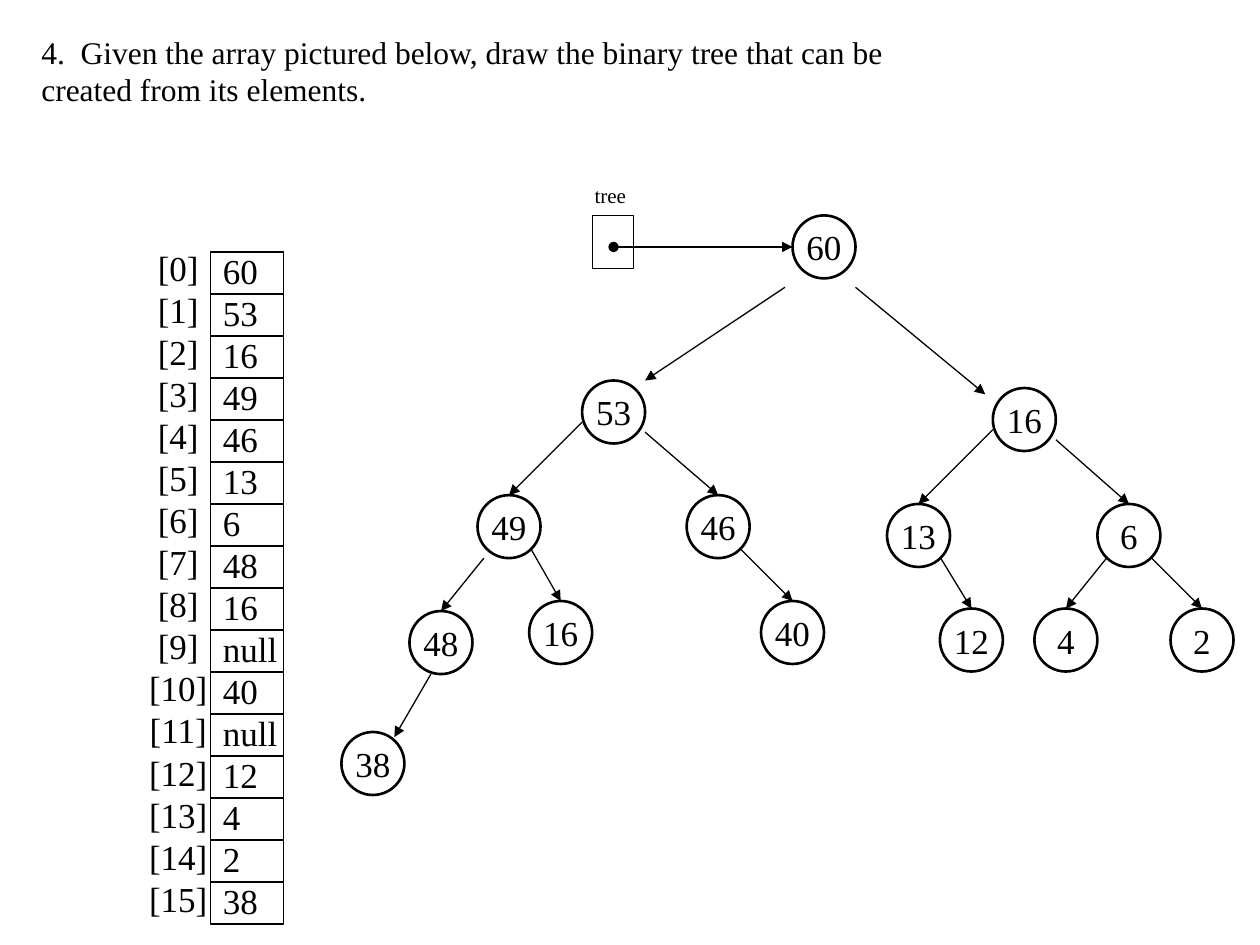
"""Draw an array and the binary tree built from its elements."""
import dataclasses
import typing

import lxml.etree
import pptx
import pptx.dml.color
import pptx.enum.shapes
import pptx.enum.text
import pptx.oxml.ns
import pptx.util

Inches = pptx.util.Inches
Pt = pptx.util.Pt
Kind = pptx.enum.shapes.MSO_SHAPE
Align = pptx.enum.text.PP_ALIGN
Pair = tuple[float, float]


@dataclasses.dataclass(frozen=True)
class Theme:
    font: str = "Times New Roman"
    ink: pptx.dml.color.RGBColor = pptx.dml.color.RGBColor(0, 0, 0)
    title: float = 18
    body: float = 20
    label: float = 12
    thin: float = 0.75
    thick: float = 1.5
    lead: float = 1.2


@dataclasses.dataclass(frozen=True)
class Node:
    slot: int
    mid: Pair
    start: Pair = (0, 0)
    end: Pair = (0, -0.25)


THEME = Theme()
SIZE = 0.5
ITEMS = "60 53 16 49 46 13 6 48 16 null 40 null 12 4 2 38".split()
NODES = [
    Node(0, (6.54, 1.96)),
    Node(1, (4.87, 3.27), (-0.31, 0.32), (0.25, -0.25)),
    Node(2, (8.13, 3.33), (0.25, 0.32), (-0.31, -0.2)),
    Node(3, (4.04, 4.18), (-0.25, 0.08)),
    Node(4, (5.7, 4.18), (0.25, 0.16)),
    Node(5, (7.29, 4.25), (-0.25, 0.08)),
    Node(6, (8.96, 4.25), (0.25, 0.16)),
    Node(7, (3.5, 5.1), (-0.2, 0.25)),
    Node(8, (4.45, 5.02), (0.17, 0.17)),
    Node(10, (6.29, 5.02), (0.17, 0.17)),
    Node(12, (7.71, 5.08), (0.17, 0.17)),
    Node(13, (8.46, 5.08), (-0.17, 0.17)),
    Node(14, (9.54, 5.08), (0.17, 0.17)),
    Node(15, (2.96, 6.06), (-0.08, 0.25), (0.17, -0.21)),
]


def write(frame: typing.Any, rows: list[str], size: float, align: Align) -> None:
    frame.word_wrap = False
    for num, row in enumerate(rows):
        para = frame.paragraphs[0] if num == 0 else frame.add_paragraph()
        para.alignment = align
        if len(rows) > 1:
            para.line_spacing = Pt(size * THEME.lead)
        run = para.add_run()
        run.text = row
        run.font.name = THEME.font
        run.font.size = Pt(size)
        run.font.color.rgb = THEME.ink


def label(shapes: typing.Any, box: tuple[float, ...], rows: list[str],
          size: float, align: Align = Align.LEFT) -> None:
    frame = shapes.add_textbox(*map(Inches, box)).text_frame
    write(frame, rows, size, align)
    frame.auto_size = pptx.enum.text.MSO_AUTO_SIZE.SHAPE_TO_FIT_TEXT


def outline(shapes: typing.Any, kind: Kind, box: tuple[float, ...],
            width: float) -> typing.Any:
    shape = shapes.add_shape(kind, *map(Inches, box))
    shape.shadow.inherit = False
    shape.fill.background()
    shape.line.color.rgb = THEME.ink
    shape.line.width = Pt(width)
    return shape


def line(shapes: typing.Any, start: Pair, end: Pair,
         head: str = "none", tail: str = "none") -> None:
    link = shapes.add_connector(pptx.enum.shapes.MSO_CONNECTOR.STRAIGHT,
                                *map(Inches, start + end))
    link.line.color.rgb = THEME.ink
    link.line.width = Pt(THEME.thin)
    name = pptx.oxml.ns.qn
    props = link._element.spPr
    edge = props.find(name("a:ln"))
    for tag, tip in (("a:headEnd", head), ("a:tailEnd", tail)):
        lxml.etree.SubElement(edge, name(tag), type=tip)
    lxml.etree.SubElement(props, name("a:effectLst"))


def shift(spot: Pair, by: Pair) -> Pair:
    return spot[0] + by[0], spot[1] + by[1]


def array(shapes: typing.Any) -> None:
    left, top, width, step = 1.67, 2, 0.58, 1 / 3
    group = shapes.add_group_shape().shapes
    outline(group, Kind.RECTANGLE, (left, top, width, step * len(ITEMS)), THEME.thin)
    marks = [f"[{num}]" for num in range(len(ITEMS))]
    label(group, (1.05, 1.91, 0.73, 5.43), marks, THEME.body, Align.CENTER)
    for num in range(len(ITEMS)):
        high = top + num * step
        line(group, (left, high), (left + width, high))
    label(shapes, (left, 1.93, 0.64, 5.43), ITEMS, THEME.body)


def tree(shapes: typing.Any) -> None:
    spots = {node.slot: node.mid for node in NODES}
    for node in NODES:
        box = (*shift(node.mid, (-SIZE / 2, -SIZE / 2)), SIZE, SIZE)
        frame = outline(shapes, Kind.OVAL, box, THEME.thick).text_frame
        frame.vertical_anchor = pptx.enum.text.MSO_ANCHOR.MIDDLE
        write(frame, [ITEMS[node.slot]], THEME.body, Align.CENTER)
        if node.slot:
            root = spots[(node.slot - 1) // 2]
            line(shapes, shift(root, node.start), shift(node.mid, node.end),
                 tail="triangle")
    outline(shapes, Kind.RECTANGLE, (4.7, 1.71, 0.33, 0.42), THEME.thin)
    line(shapes, (4.87, 1.96), (6.29, 1.96), "oval", "triangle")
    label(shapes, (4.62, 1.4, 0.45, 0.3), ["tree"], THEME.label)


def main() -> None:
    deck = pptx.Presentation()
    deck.slide_width, deck.slide_height = Inches(10), Inches(7.5)
    shapes = deck.slides.add_slide(deck.slide_layouts[6]).shapes
    label(shapes, (0.23, 0.21, 6.9, 0.7), [
        "4.  Given the array pictured below, draw the binary tree that can be",
        "created from its elements.",
    ], THEME.title)
    array(shapes)
    tree(shapes)
    deck.save("out.pptx")


main()
